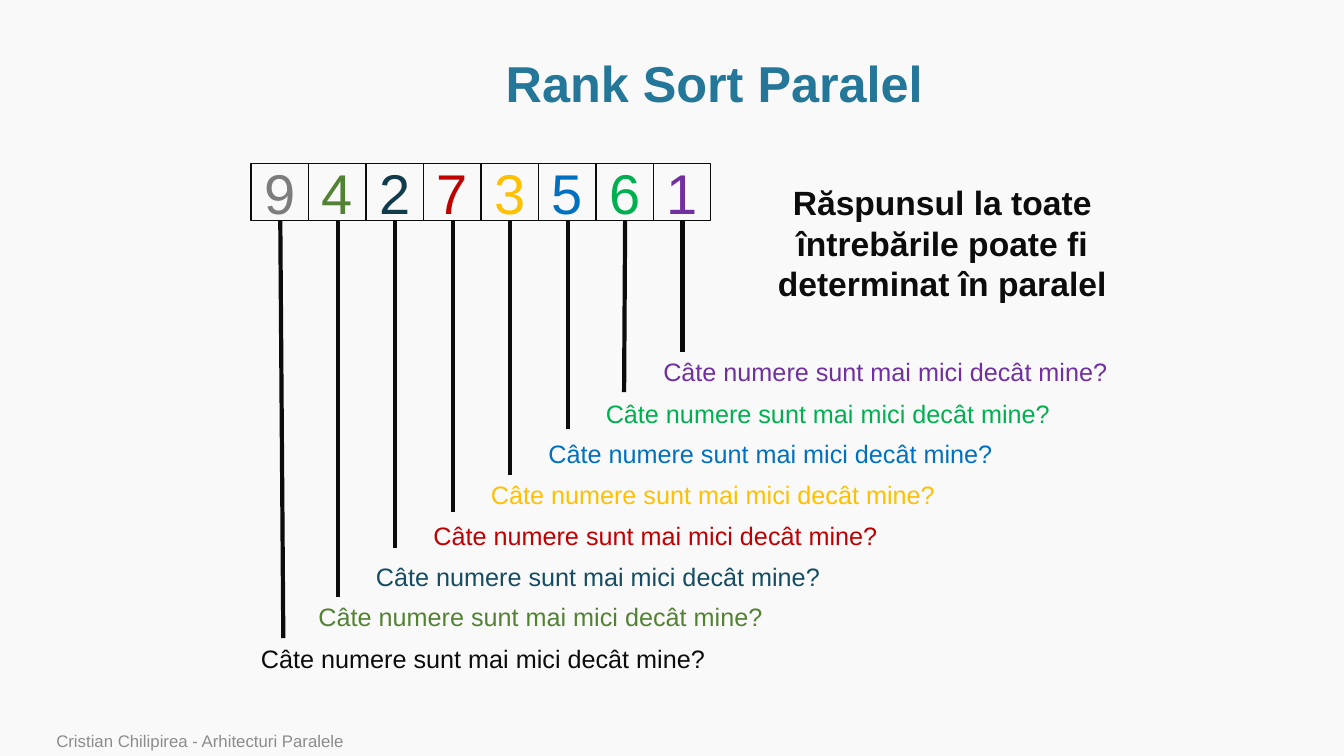
from dataclasses import dataclass

from lxml.etree import SubElement
from pptx import Presentation
from pptx.dml.color import RGBColor
from pptx.enum.shapes import MSO_CONNECTOR as Connector, MSO_SHAPE as Shape
from pptx.enum.text import MSO_ANCHOR as Anchor, MSO_AUTO_SIZE as AutoSize, PP_ALIGN as Align
from pptx.oxml.ns import qn
from pptx.slide import Slide
from pptx.text.text import TextFrame
from pptx.util import Emu, Pt

FONT = "Arial"
BACKGROUND = RGBColor(0xF9, 0xF9, 0xF9)
TEAL = RGBColor(0x24, 0x77, 0x98)
INK = RGBColor(0x0C, 0x0C, 0x0C)
FOOTER_GRAY = RGBColor(0x8C, 0x8C, 0x8C)
GRAY = RGBColor(0x7C, 0x7C, 0x7C)
OLIVE = RGBColor(0x54, 0x82, 0x35)
NAVY = RGBColor(0x12, 0x3B, 0x4C)
DEEP_TEAL = RGBColor(0x17, 0x4D, 0x63)
RED = RGBColor(0xC0, 0x00, 0x00)
AMBER = RGBColor(0xFF, 0xC0, 0x00)
BLUE = RGBColor(0x00, 0x70, 0xC0)
GREEN = RGBColor(0x00, 0xB0, 0x50)
PURPLE = RGBColor(0x70, 0x30, 0xA0)

CELL_LEFT, CELL_TOP, CELL_SIZE = 249, 162, 57
LABEL_TOP, LABEL_RISE = 633, 284 / 7
LABEL_WIDTH, LABEL_HEIGHT = 465, 40
QUESTION = "Câte numere sunt mai mici decât mine?"


@dataclass(frozen=True)
class Number:
    digit: str
    digit_color: RGBColor
    question_color: RGBColor
    line_end: int
    lean: int = 0


@dataclass(frozen=True)
class Label:
    text: str
    left: int
    top: int
    width: int
    height: int
    size: int
    color: RGBColor
    bold: bool = False
    align: Align = Align.LEFT
    anchor: Anchor = Anchor.TOP
    spacing: float = 1.0
    wrap: bool = True


NUMBERS = [
    Number("9", GRAY, INK, 633, 3),
    Number("4", OLIVE, OLIVE, 592),
    Number("2", NAVY, DEEP_TEAL, 544),
    Number("7", RED, RED, 508),
    Number("3", AMBER, AMBER, 471),
    Number("5", BLUE, BLUE, 426),
    Number("6", GREEN, GREEN, 389, -1),
    Number("1", PURPLE, PURPLE, 349),
]

LABELS = [
    Label("Rank Sort Paralel", 114, 51, 1189, 69, 36, TEAL, True,
          Align.CENTER, Anchor.MIDDLE, 0.9),
    Label("Răspunsul la toate întrebările poate fi determinat în paralel",
          751, 176, 367, 131, 24, INK, True, Align.CENTER),
    Label("Cristian Chilipirea - Arhitecturi Paralele",
          46, 722, 982, 28, 12, FOOTER_GRAY, anchor=Anchor.BOTTOM),
]


def px(value: int) -> Emu:
    return Emu(value * 9144)


def write(tf: TextFrame, text: str, size: int, color: RGBColor,
          align: Align, anchor: Anchor, bold: bool = False) -> None:
    tf.vertical_anchor = anchor
    p = tf.paragraphs[0]
    p.text = text
    p.alignment = align
    p.font.name = FONT
    p.font.size = Pt(size)
    p.font.bold = bold
    p.font.color.rgb = color


def add_label(s: Slide, label: Label) -> None:
    box = s.shapes.add_textbox(px(label.left), px(label.top),
                               px(label.width), px(label.height))
    tf = box.text_frame
    tf.word_wrap = label.wrap
    tf.auto_size = AutoSize.NONE
    write(tf, label.text, label.size, label.color, label.align, label.anchor, label.bold)
    tf.paragraphs[0].line_spacing = label.spacing


def add_cell(s: Slide, number: Number, left: int) -> None:
    sp = s.shapes.add_shape(Shape.RECTANGLE, px(left), px(CELL_TOP),
                            px(CELL_SIZE), px(CELL_SIZE))
    sp.shadow.inherit = False
    sp.fill.background()
    sp.line.color.rgb = INK
    sp.line.width = Pt(1)
    write(sp.text_frame, number.digit, 40, number.digit_color, Align.CENTER, Anchor.MIDDLE)


def add_line(s: Slide, number: Number, left: int) -> None:
    x = left + CELL_SIZE // 2 + 1
    line = s.shapes.add_connector(Connector.STRAIGHT, px(x), px(CELL_TOP + CELL_SIZE),
                                  px(x + number.lean), px(number.line_end))
    line.line.color.rgb = INK
    line.line.width = Pt(3)
    SubElement(line._element.spPr, qn("a:effectLst"))


def main() -> None:
    prs = Presentation()
    prs.slide_width, prs.slide_height = px(1333), px(750)
    s = prs.slides.add_slide(prs.slide_layouts[6])
    s.background.fill.solid()
    s.background.fill.fore_color.rgb = BACKGROUND
    for label in LABELS:
        add_label(s, label)
    for i, number in enumerate(NUMBERS):
        left = CELL_LEFT + i * CELL_SIZE
        add_cell(s, number, left)
        add_line(s, number, left)
        add_label(s, Label(QUESTION, left, round(LABEL_TOP - i * LABEL_RISE), LABEL_WIDTH,
                           LABEL_HEIGHT, 18, number.question_color, wrap=False))
    prs.save("out.pptx")


if __name__ == "__main__":
    main()
